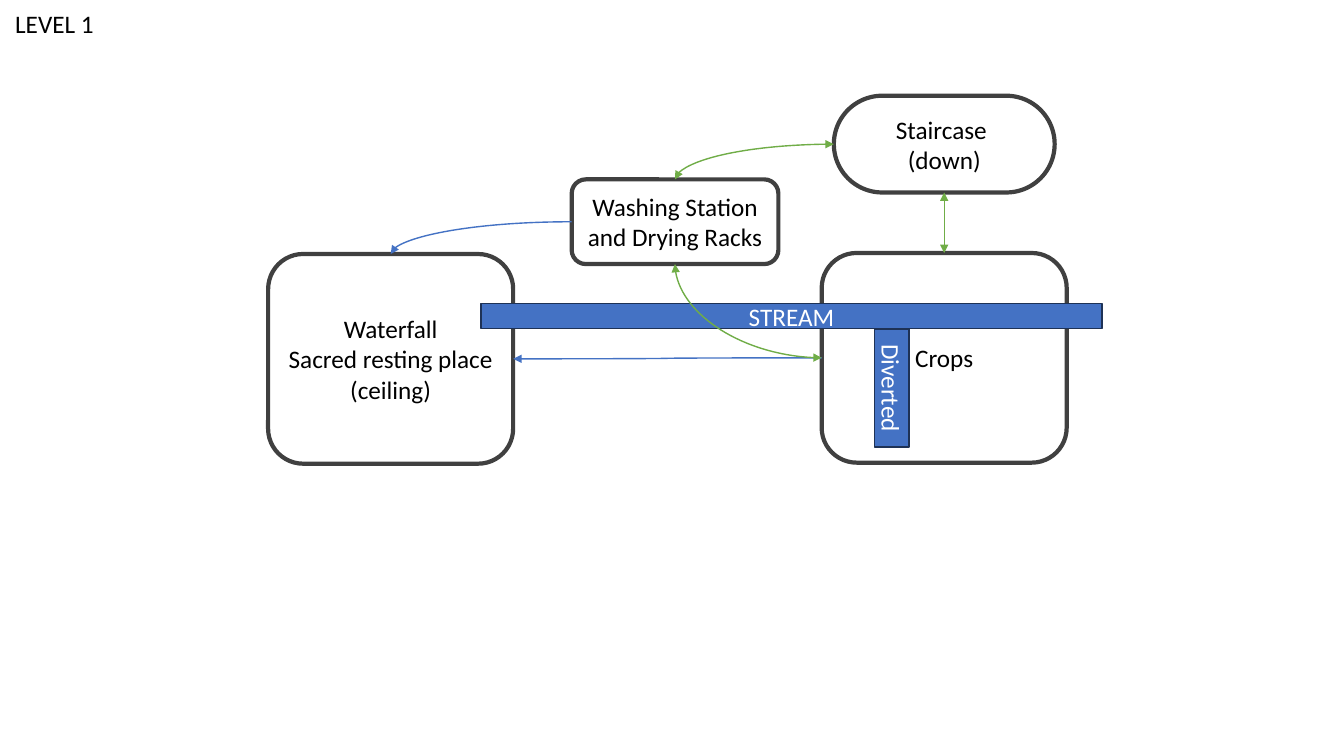
from dataclasses import dataclass

from lxml import etree
from pptx import Presentation
from pptx.dml.color import RGBColor
from pptx.enum.shapes import MSO_CONNECTOR, MSO_SHAPE
from pptx.enum.text import MSO_ANCHOR, MSO_AUTO_SIZE, PP_ALIGN
from pptx.oxml.ns import qn
from pptx.util import Inches, Pt


@dataclass(frozen=True)
class Theme:
    font: str = "Calibri"
    text_size: int = 18
    ink: str = "000000"
    paper: str = "FFFFFF"
    wall: str = "404040"
    water: str = "4472C4"
    bank: str = "1E3256"
    path_way: str = "70AD47"
    wall_width: float = 3
    thin_width: float = 1


THEME = Theme()
TOP, LEFT, BOTTOM, RIGHT = range(4)

TITLE = ("LEVEL 1", (0.05, 0.03, 0.99, 0.4))

ROOMS = {
    "waterfall": ([["Waterfall"], ["Sacred resting place (ceiling)"]], (2.66, 2.52, 2.43, 2.08), None),
    "crops": ([["Crops"]], (8.15, 2.51, 2.43, 2.08), None),
    "staircase": ([["Staircase ", "(down)"]], (8.27, 0.95, 2.19, 0.96), 0.5),
    "washing": ([["Washing Station and Drying Racks"]], (5.67, 1.78, 2.05, 0.84), None),
}

CHANNELS = [
    ("STREAM", (4.77, 3.01, 6.16, 0.25), 0),
    ("Diverted", (8.26, 3.68, 1.17, 0.34), 90),
]

ROUTES = [
    ("staircase", BOTTOM, "crops", TOP, "straight", THEME.path_way, True),
    ("crops", LEFT, "waterfall", RIGHT, "wave", THEME.water, False),
    ("washing", LEFT, "waterfall", TOP, "bend", THEME.water, False),
    ("staircase", LEFT, "washing", TOP, "bend", THEME.path_way, True),
    ("crops", LEFT, "washing", BOTTOM, "bend", THEME.path_way, True),
]


def rgb(colour):
    return RGBColor.from_string(colour)


def set_line(line, colour, width):
    line.color.rgb = rgb(colour)
    line.width = Pt(width)


def write(frame, paragraphs, colour, align):
    for number, rows in enumerate(paragraphs):
        paragraph = frame.add_paragraph() if number else frame.paragraphs[0]
        paragraph.alignment = align
        paragraph.line_spacing = 1.0
        for row_number, row in enumerate(rows):
            if row_number:
                paragraph.add_line_break()
            run = paragraph.add_run()
            run.text = row
            run.font.name = THEME.font
            run.font.size = Pt(THEME.text_size)
            run.font.color.rgb = rgb(colour)


def add_block(slide, preset, box, paragraphs, ink):
    block = slide.shapes.add_shape(preset, *map(Inches, box))
    block.shadow.inherit = False
    block.text_frame.word_wrap = True
    block.text_frame.vertical_anchor = MSO_ANCHOR.MIDDLE
    write(block.text_frame, paragraphs, ink, PP_ALIGN.CENTER)
    return block


def add_title(slide):
    wording, box = TITLE
    title = slide.shapes.title
    title.left, title.top, title.width, title.height = map(Inches, box)
    frame = title.text_frame
    frame.word_wrap = False
    frame.auto_size = MSO_AUTO_SIZE.SHAPE_TO_FIT_TEXT
    frame.vertical_anchor = MSO_ANCHOR.TOP
    write(frame, [[wording]], THEME.ink, PP_ALIGN.LEFT)


def add_room(slide, paragraphs, box, corner):
    room = add_block(slide, MSO_SHAPE.ROUNDED_RECTANGLE, box, paragraphs, THEME.ink)
    if corner is not None:
        room.adjustments[0] = corner
    room.fill.background()
    set_line(room.line, THEME.wall, THEME.wall_width)
    return room


def add_channel(slide, wording, box, rotation):
    channel = add_block(slide, MSO_SHAPE.RECTANGLE, box, [[wording]], THEME.paper)
    channel.rotation = rotation
    channel.fill.solid()
    channel.fill.fore_color.rgb = rgb(THEME.water)
    set_line(channel.line, THEME.bank, THEME.thin_width)


def add_route(slide, start, start_side, end, end_side, course, colour, two_way):
    kind = MSO_CONNECTOR.STRAIGHT if course == "straight" else MSO_CONNECTOR.CURVE
    route = slide.shapes.add_connector(kind, 0, 0, 0, 0)
    route.begin_connect(start, start_side)
    route.end_connect(end, end_side)
    set_line(route.line, colour, THEME.thin_width)
    properties = route._element.spPr
    if course == "bend":
        properties.find(qn("a:prstGeom")).set("prst", "curvedConnector2")
    outline = properties.find(qn("a:ln"))
    for tip in ("a:headEnd", "a:tailEnd") if two_way else ("a:tailEnd",):
        etree.SubElement(outline, qn(tip), type="triangle")
    etree.SubElement(properties, qn("a:effectLst"))


def main():
    deck = Presentation()
    deck.slide_width, deck.slide_height = Inches(13.33), Inches(7.5)
    slide = deck.slides.add_slide(deck.slide_layouts.get_by_name("Title Only"))
    add_title(slide)
    rooms = {name: add_room(slide, *room) for name, room in ROOMS.items()}
    for channel in CHANNELS:
        add_channel(slide, *channel)
    for start, start_side, end, end_side, *style in ROUTES:
        add_route(slide, rooms[start], start_side, rooms[end], end_side, *style)
    deck.save("out.pptx")


if __name__ == "__main__":
    main()
